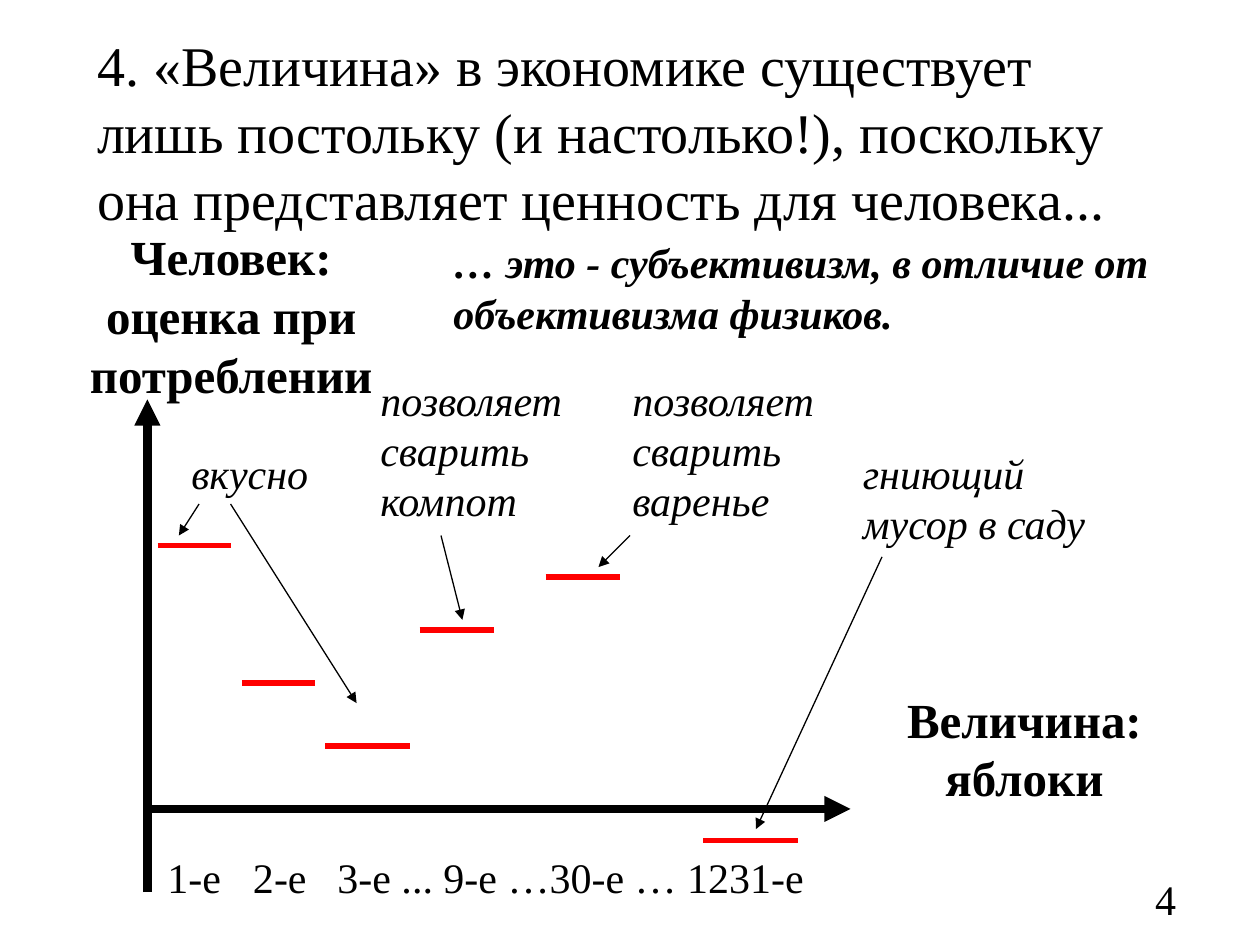
"""Build the slide on subjective value: a chart of apples against their worth to a person."""
from lxml import etree
from pptx import Presentation
from pptx.dml.color import RGBColor
from pptx.enum.shapes import MSO_CONNECTOR
from pptx.enum.text import MSO_ANCHOR, MSO_AUTO_SIZE, PP_ALIGN
from pptx.oxml.ns import qn
from pptx.util import Inches, Pt

STRAIGHT = MSO_CONNECTOR.STRAIGHT
LEFT, CENTER = PP_ALIGN.LEFT, PP_ALIGN.CENTER
COLORS = {"ink": "000000", "level": "FF0000"}
FONT = "Times New Roman"


def write(shape, text, size, bold=False, italic=False, align=LEFT, wrap=True):
    tf = shape.text_frame
    tf.word_wrap = wrap
    p = tf.paragraphs[0]
    p.alignment = align
    r = p.add_run()
    r.text = text
    r.font.name = FONT
    r.font.size = Pt(size)
    r.font.bold = bold
    r.font.italic = italic
    r.font.color.rgb = RGBColor.from_string(COLORS["ink"])
    return p


def draw_line(x1, y1, x2, y2, color, width, arrow=False):
    line = s.shapes.add_connector(STRAIGHT, Inches(x1), Inches(y1), Inches(x2), Inches(y2))
    line.line.color.rgb = RGBColor.from_string(COLORS[color])
    line.line.width = Pt(width)
    if arrow:
        etree.SubElement(line.line._get_or_add_ln(), qn("a:tailEnd"), type="triangle")
    etree.SubElement(line._element.spPr, qn("a:effectLst"))


prs = Presentation()
prs.slide_width, prs.slide_height = Inches(10), Inches(7.5)
s = prs.slides.add_slide(prs.slide_layouts[5])

title = s.shapes.title
title.left, title.top = Inches(0.67), Inches(0.33)
title.width, title.height = Inches(8.67), Inches(1.42)
title.text_frame.auto_size = MSO_AUTO_SIZE.NONE
title.text_frame.vertical_anchor = MSO_ANCHOR.MIDDLE
write(title, "4. «Величина» в экономике существует лишь постольку (и настолько!), "
      "поскольку она представляет ценность для человека...", 32)

heading = {"size": 28, "bold": True, "align": CENTER}
remark = {"size": 24, "bold": True, "italic": True}
note = {"size": 24, "italic": True}
labels = [
    (6.92, 5.42, 2.42, 1.04, "Величина: яблоки", heading),
    (0.42, 1.75, 2.83, 1.5, "Человек: оценка при потреблении", heading),
    (3.5, 1.83, 5.92, 0.9, "… это - субъективизм, в отличие от объективизма физиков.", remark),
    (1.42, 3.5, 1.13, 0.5, "вкусно", {**note, "wrap": False}),
    (2.92, 2.92, 2, 1.3, "позволяет сварить компот", note),
    (4.92, 2.92, 2, 1.3, "позволяет сварить варенье", note),
    (6.75, 3.5, 2, 0.9, "гниющий мусор в саду", note),
    (9.07, 6.88, 0.36, 0.5, "4", {"size": 24, "wrap": False}),
]
for x, y, w, h, text, style in labels:
    tb = s.shapes.add_textbox(Inches(x), Inches(y), Inches(w), Inches(h))
    write(tb, text, **style)

tb = s.shapes.add_textbox(Inches(1.23), Inches(6.71), Inches(5.5), Inches(0.5))
p = write(tb, "1-е\t2-е\t3-е ... 9-е …30-е … 1231-е", 24)
tabs = etree.SubElement(p._p.get_or_add_pPr(), qn("a:tabLst"))
for stop in (0.68, 1.35):
    etree.SubElement(tabs, qn("a:tab"), pos=str(Inches(stop)), algn="l")

for x1, y1, x2, y2 in [(1.17, 7.08, 1.17, 3.17), (1.17, 6.42, 6.75, 6.42)]:
    draw_line(x1, y1, x2, y2, "ink", 5, arrow=True)

levels = [(1.25, 1.83, 4.33), (1.92, 2.5, 5.42), (2.58, 3.25, 5.92),
          (3.33, 3.92, 5), (4.33, 4.92, 4.58), (5.58, 6.33, 6.67)]
for x1, x2, y in levels:
    draw_line(x1, y, x2, y, "level", 3)

pointers = [(1.58, 4, 1.42, 4.25), (1.83, 4, 2.83, 5.58), (3.5, 4.25, 3.67, 4.92),
            (5, 4.25, 4.75, 4.5), (7, 4.42, 6, 6.58)]
for x1, y1, x2, y2 in pointers:
    draw_line(x1, y1, x2, y2, "ink", 0.75, arrow=True)

prs.save("out.pptx")
